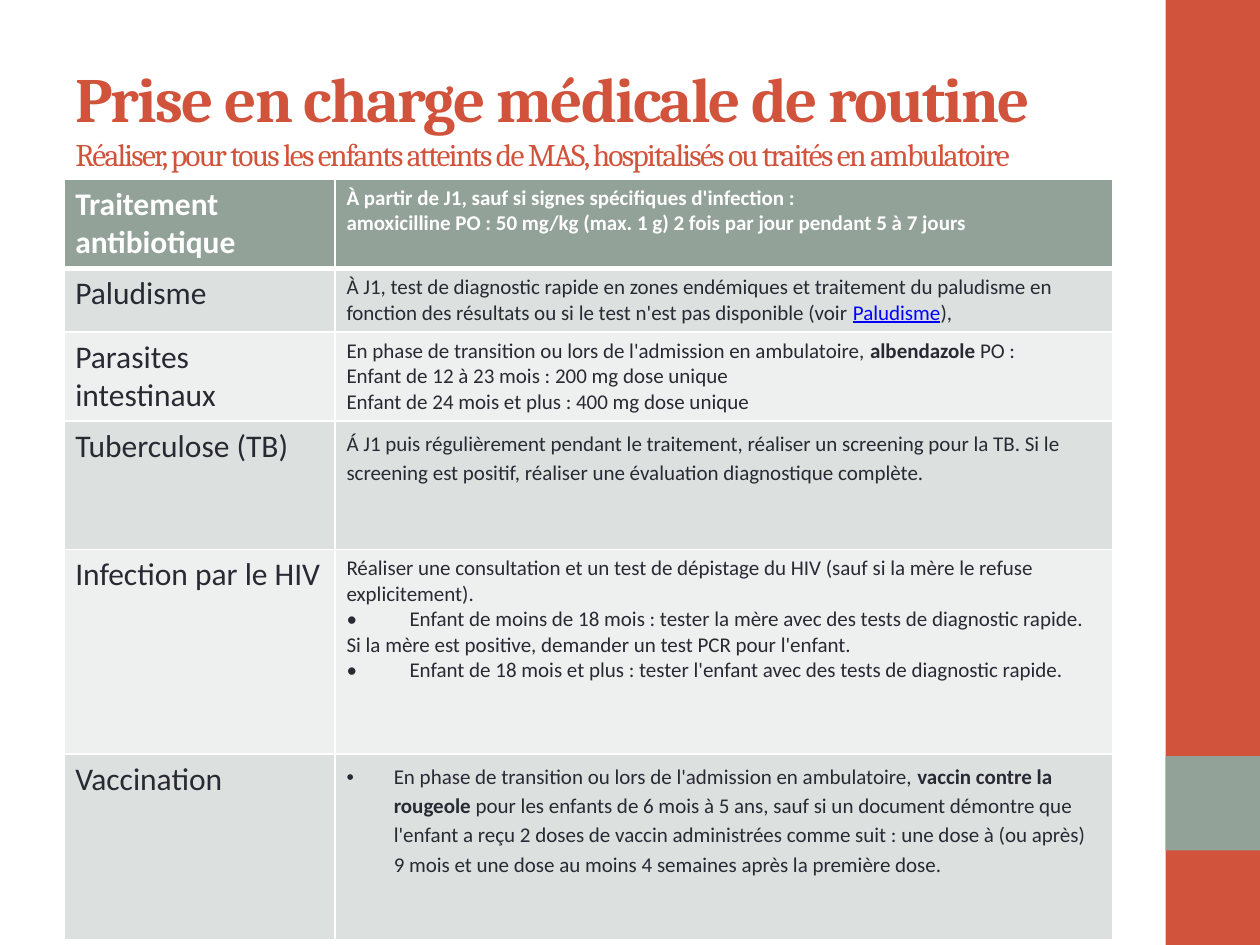
"""Build the slide on routine medical care for children with MAS."""
import pptx
import pptx.dml.color
import pptx.enum.shapes
import pptx.enum.text
import pptx.oxml
import pptx.oxml.ns
import pptx.util

Pt = pptx.util.Pt
RGBColor = pptx.dml.color.RGBColor
RED = RGBColor(0xD2, 0x53, 0x3C)
SAGE = RGBColor(0x93, 0xA2, 0x99)
DARK = RGBColor(0x29, 0x29, 0x34)
WHITE = RGBColor(0xFF, 0xFF, 0xFF)
LINK = RGBColor(0x00, 0x00, 0xFF)
BAND_DARK = RGBColor(0xDC, 0xE0, 0xDE)
BAND_LIGHT = RGBColor(0xEE, 0xF0, 0xEF)
NAMESPACE = pptx.oxml.ns.nsdecls("a")


def add_run(paragraph, text, size, color, bold=False, font="Calibri"):
    run = paragraph.add_run()
    run.text = text
    run.font.name = font
    run.font.size = Pt(size)
    run.font.bold = bold
    run.font.color.rgb = color
    return run


def add_border(cell, side, width):
    cell._tc.get_or_add_tcPr().append(pptx.oxml.parse_xml(
        f'<a:{side} {NAMESPACE} w="{Pt(width)}"><a:solidFill>'
        f'<a:srgbClr val="{WHITE}"/></a:solidFill></a:{side}>'))


presentation = pptx.Presentation()
presentation.slide_width = Pt(720)
presentation.slide_height = Pt(540)
slide = presentation.slides.add_slide(presentation.slide_layouts[6])

for top, height, color in [(0, 540, RED), (432, 54, SAGE)]:
    shape = slide.shapes.add_shape(
        pptx.enum.shapes.MSO_SHAPE.RECTANGLE, Pt(666), Pt(top), Pt(54), Pt(height))
    shape.shadow.inherit = False
    shape.fill.solid()
    shape.fill.fore_color.rgb = color
    shape.line.fill.background()

title = slide.shapes.add_textbox(Pt(36), Pt(21.6), Pt(600), Pt(90))
title.text_frame.word_wrap = True
title.text_frame.vertical_anchor = pptx.enum.text.MSO_ANCHOR.MIDDLE
paragraph = title.text_frame.paragraphs[0]
heading = add_run(paragraph, "Prise en charge médicale de routine\u00a0", 36, RED, True, "Cambria")
paragraph.add_line_break()
subtitle = add_run(
    paragraph,
    "Réaliser, pour tous les enfants atteints de MAS, hospitalisés ou traités en ambulatoire",
    18, RED, False, "Cambria")
for run in (heading, subtitle):
    run.font._element.set("spc", "-100")

PLAIN, BOLD, LINKED = "plain", "bold", "linked"
rows = [
    ("Traitement antibiotique", 51, 1, [
        [("À partir de J1, sauf si signes spécifiques d'infection :", BOLD)],
        [("amoxicilline PO : 50 mg/kg (max. 1 g) 2 fois par jour pendant 5 à 7 jours", BOLD)]]),
    ("Paludisme", 36.4, 1, [
        [("À J1, test de diagnostic rapide en zones endémiques et traitement du paludisme en "
          "fonction des résultats ou si le test n'est pas disponible (voir ", PLAIN),
         ("Paludisme", LINKED), ("),", PLAIN)]]),
    ("Parasites intestinaux", 51, 1, [
        [("En phase de transition ou lors de l'admission en ambulatoire, ", PLAIN),
         ("albendazole", BOLD), (" PO :", PLAIN)],
        [("Enfant de 12 à 23 mois : 200 mg dose unique", PLAIN)],
        [("Enfant de 24 mois et plus : 400 mg dose unique", PLAIN)]]),
    ("Tuberculose (TB)", 73.2, 1.15, [
        [("Á J1 puis régulièrement pendant le traitement, réaliser un screening pour la TB. Si le "
          "screening est positif, réaliser une évaluation diagnostique complète.", PLAIN)]]),
    ("Infection par le HIV", 117, 1, [
        [("Réaliser une consultation et un test de dépistage du HIV (sauf si la mère le refuse "
          "explicitement).", PLAIN)],
        [("•\tEnfant de moins de 18 mois : tester la mère avec des tests de diagnostic rapide. "
          "Si la mère est positive, demander un test PCR pour l'enfant.", PLAIN)],
        [("•\tEnfant de 18 mois et plus : tester l'enfant avec des tests de diagnostic rapide.",
          PLAIN)]]),
    ("Vaccination", 106.4, 1.15, [
        [("En phase de transition ou lors de l'admission en ambulatoire, ", PLAIN),
         ("vaccin contre la rougeole", BOLD),
         (" pour les enfants de 6 mois à 5 ans, sauf si un document démontre que l'enfant a reçu "
          "2 doses de vaccin administrées comme suit : une dose à (ou après) 9 mois et une dose "
          "au moins 4 semaines après la première dose.", PLAIN)]]),
]

table = slide.shapes.add_table(len(rows), 2, Pt(36.5), Pt(102.3), Pt(599.5), Pt(435)).table
table.columns[0].width = Pt(155)
table.columns[1].width = Pt(444.5)

for index, (topic, height, spacing, paragraphs) in enumerate(rows):
    table.rows[index].height = Pt(height)
    is_header = index == 0
    text_color = WHITE if is_header else DARK
    row_fill = SAGE if is_header else (BAND_DARK if index % 2 else BAND_LIGHT)
    for cell in table.rows[index].cells:
        cell.margin_left = cell.margin_right = Pt(6.5)
        cell.margin_top = cell.margin_bottom = Pt(3.6)
        add_border(cell, "lnL", 1)
        add_border(cell, "lnR", 1)
        add_border(cell, "lnT", 3 if index == 1 else 1)
        add_border(cell, "lnB", 3 if is_header else 1)
        cell.fill.solid()
        cell.fill.fore_color.rgb = row_fill

    topic_cell, detail_cell = table.rows[index].cells
    add_run(topic_cell.text_frame.paragraphs[0], topic, 18, text_color, is_header)
    text_frame = detail_cell.text_frame
    for position, pieces in enumerate(paragraphs):
        paragraph = text_frame.add_paragraph() if position else text_frame.paragraphs[0]
        paragraph.line_spacing = spacing
        for text, style in pieces:
            color = LINK if style == LINKED else text_color
            run = add_run(paragraph, text, 12, color, style == BOLD)
            run.font.underline = style == LINKED

vaccination = table.cell(len(rows) - 1, 1).text_frame.paragraphs[0]
properties = vaccination._p.get_or_add_pPr()
properties.set("marL", str(Pt(27)))
properties.set("indent", str(Pt(-27)))
for xml in (f'<a:buFont {NAMESPACE} typeface="Arial"/>',
            f'<a:buChar {NAMESPACE} char="•"/>',
            f'<a:tabLst {NAMESPACE}><a:tab pos="{Pt(36)}" algn="l"/></a:tabLst>'):
    properties.append(pptx.oxml.parse_xml(xml))
vaccination.space_after = Pt(10)

presentation.save("out.pptx")
